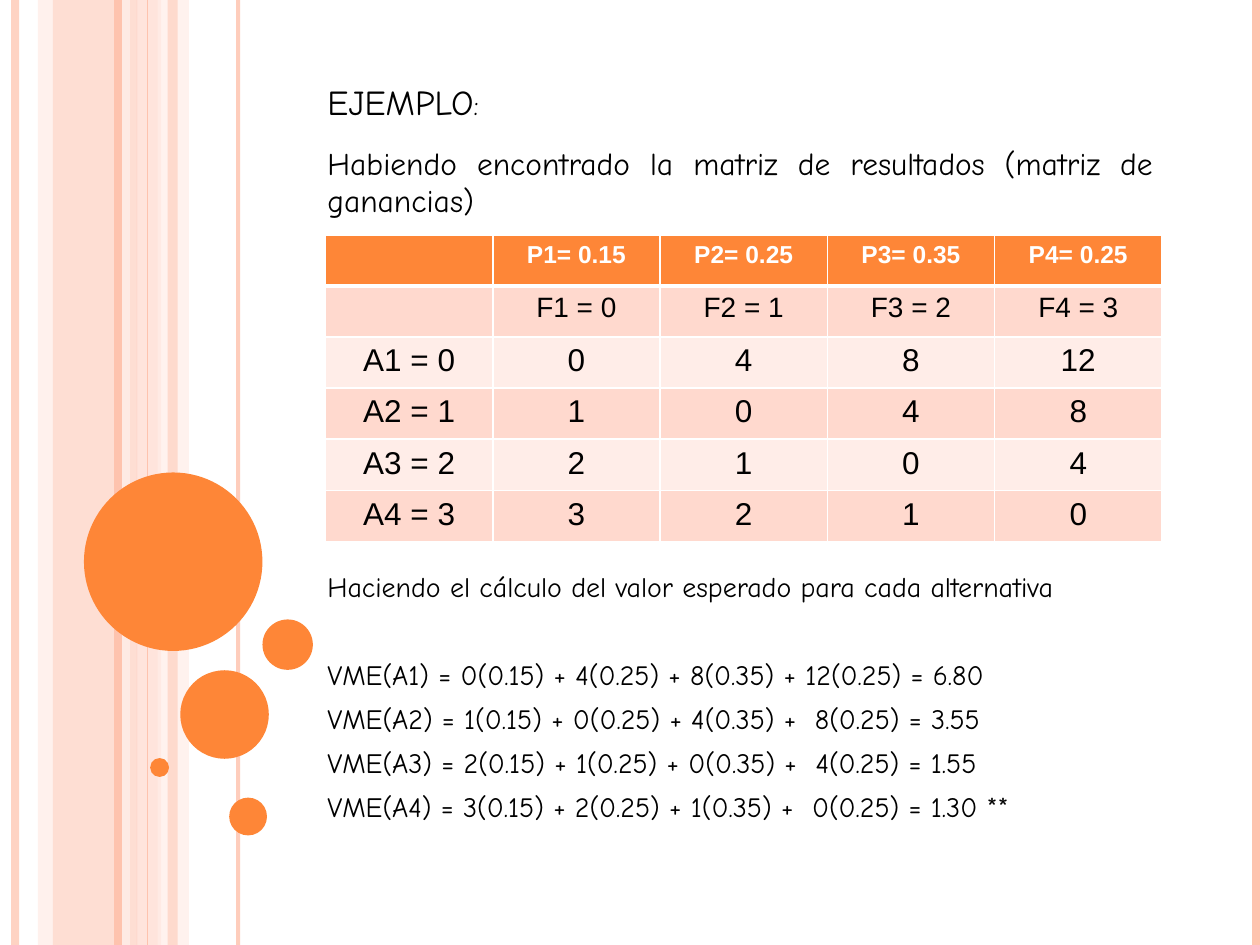
from lxml import etree
from pptx import Presentation
from pptx.dml.color import RGBColor
from pptx.enum.shapes import MSO_CONNECTOR, MSO_SHAPE
from pptx.enum.text import MSO_ANCHOR, PP_ALIGN
from pptx.oxml.ns import qn
from pptx.util import Pt

RECTANGLE = MSO_SHAPE.RECTANGLE
OVAL = MSO_SHAPE.OVAL
STRAIGHT = MSO_CONNECTOR.STRAIGHT
BOTTOM = MSO_ANCHOR.BOTTOM
TOP = MSO_ANCHOR.TOP
LEFT = PP_ALIGN.LEFT
CENTER = PP_ALIGN.CENTER
JUSTIFY = PP_ALIGN.JUSTIFY

COLORS = {
    "orange": "FE8637",
    "salmon": "FEC3AE",
    "peach": "FFD9CE",
    "blush": "FFEDE8",
    "white": "FFFFFF",
    "black": "000000",
}
PAGE_WIDTH, PAGE_HEIGHT = 720, 540
BODY_FONT, TABLE_FONT = "Comic Neue", "Arial"

PROBABILITIES = [0.15, 0.25, 0.35, 0.25]
PAYOFFS = [[0, 4, 8, 12], [1, 0, 4, 8], [2, 1, 0, 4], [3, 2, 1, 0]]


def rgb(name):
    return RGBColor.from_string(COLORS[name])


def set_alpha(parent, percent):
    color = parent.find(".//" + qn("a:srgbClr"))
    etree.SubElement(color, qn("a:alpha"), val=str(percent * 1000))


def add_filled(page, kind, box, color, alpha=100):
    shape = page.shapes.add_shape(kind, *map(Pt, box))
    shape.shadow.inherit = False
    shape.fill.solid()
    shape.fill.fore_color.rgb = rgb(color)
    shape.line.fill.background()
    if alpha < 100:
        set_alpha(shape.fill._xPr, alpha)


def add_stripe(page, x, top, height, color, width, alpha=100):
    line = page.shapes.add_connector(STRAIGHT, Pt(x), Pt(top), Pt(x), Pt(top + height))
    line.line.color.rgb = rgb(color)
    line.line.width = Pt(width)
    properties = line._element.spPr
    if alpha < 100:
        set_alpha(properties, alpha)
    etree.SubElement(properties, qn("a:effectLst"))


def add_background(page, box):
    left, top, width, height = box
    bands = [
        (30.24, 48.24, "salmon", 54),
        (21.6, 8.64, "peach", 36),
        (77.76, 14.4, "peach", 70),
        (90, 18, "blush", 71),
    ]
    stripes = [
        (8.64, "salmon", 4.5, 73),
        (72, "blush", 4.5, 83),
        (67.2, "salmon", 4.5, 100),
        (136.08, "salmon", 2.25, 82),
        (84.24, "salmon", 0.75, 100),
        (width - 2.3, "salmon", 4.5, 100),
    ]
    circles = [
        (48, 270, 102),
        (103, 383, 50.6),
        (85.8, 433.2, 10.8),
        (131, 455.8, 21.6),
        (150, 354, 28.8),
    ]
    for x, band_width, color, alpha in bands:
        add_filled(page, RECTANGLE, (left + x, top, band_width, height), color, alpha)
    for x, color, weight, alpha in stripes:
        add_stripe(page, left + x, top, height, color, weight, alpha)
    add_filled(page, RECTANGLE, (left + 95.76, top, 5.76, height), "salmon", 51)
    for x, y, size in circles:
        add_filled(page, OVAL, (left + x, top + y, size, size), "orange")


def write_span(para, text, size, font, color, bold=False):
    span = para.add_run()
    span.text = text
    values = {"size": Pt(size), "name": font, "bold": bold}
    for name, value in values.items():
        setattr(span.font, name, value)
    span.font.color.rgb = rgb(color)
    return span


def add_text(page, box, anchor, lines):
    frame = page.shapes.add_textbox(*map(Pt, box)).text_frame
    frame.word_wrap = True
    frame.vertical_anchor = anchor
    spans = []
    for index, (text, size, space, alignment) in enumerate(lines):
        para = frame.add_paragraph() if index else frame.paragraphs[0]
        para.space_before = Pt(space)
        para.alignment = alignment
        spans.append(write_span(para, text, size, BODY_FONT, "black"))
    return spans


def add_title(page, box):
    for span in add_text(page, box, BOTTOM, [("EJEMPLO:", 20, 0, LEFT)]):
        span._r.get_or_add_rPr().set("cap", "small")


def expected_value_line(index, payoffs):
    pairs = list(zip(payoffs, PROBABILITIES))
    terms = [f"{payoff}({chance})" for payoff, chance in pairs[:-1]]
    terms.append(f"{payoffs[-1]:>2}({PROBABILITIES[-1]})")
    total = sum(payoff * chance for payoff, chance in pairs)
    mark = " **" if index == len(PAYOFFS) else ""
    return f"VME(A{index}) = {' + '.join(terms)} = {total:.2f}{mark}"


def add_body(page, box):
    lines = [
        ("Habiendo encontrado la matriz de resultados (matriz de ganancias)", 18, 6, JUSTIFY),
        ("Haciendo el cálculo del valor esperado para cada alternativa", 16, 200, LEFT),
    ]
    for index, payoffs in enumerate(PAYOFFS, 1):
        space = 31 if index == 1 else 6
        lines.append((expected_value_line(index, payoffs), 16, space, LEFT))
    add_text(page, box, TOP, lines)


def set_borders(cell, bottom):
    properties = cell._tc.get_or_add_tcPr()
    widths = {"a:lnL": 1, "a:lnR": 1, "a:lnT": 1, "a:lnB": bottom}
    for position, (tag, width) in enumerate(widths.items()):
        border = etree.Element(qn(tag), w=str(Pt(width)))
        fill = etree.SubElement(border, qn("a:solidFill"))
        etree.SubElement(fill, qn("a:srgbClr"), val=COLORS["white"])
        properties.insert(position, border)


def add_matrix(page, box):
    rows = [
        [""] + [f"P{i}= {chance}" for i, chance in enumerate(PROBABILITIES, 1)],
        [""] + [f"F{i + 1} = {i}" for i in range(len(PROBABILITIES))],
    ]
    rows += [[f"A{i + 1} = {i}", *map(str, values)] for i, values in enumerate(PAYOFFS)]
    table = page.shapes.add_table(len(rows), len(rows[0]), *map(Pt, box)).table
    for column in table.columns:
        column.width = Pt(box[2] / len(rows[0]))
    for r, texts in enumerate(rows):
        table.rows[r].height = Pt(box[3] / len(rows))
        size = {0: 14, 1: 16}.get(r, 18)
        fill = "orange" if r == 0 else ("peach" if r % 2 else "blush")
        for c, text in enumerate(texts):
            cell = table.cell(r, c)
            cell.fill.solid()
            cell.fill.fore_color.rgb = rgb(fill)
            set_borders(cell, 3 if r == 0 else 1)
            para = cell.text_frame.paragraphs[0]
            para.alignment = CENTER
            if text:
                write_span(para, text, size, TABLE_FONT, "white" if r == 0 else "black", r == 0)


deck = Presentation()
deck.slide_width = Pt(PAGE_WIDTH)
deck.slide_height = Pt(PAGE_HEIGHT)
page = deck.slides.add_slide(deck.slide_layouts[6])
add_background(page, (0, 0, PAGE_WIDTH, PAGE_HEIGHT))
add_title(page, (180, 34, 486, 39.5))
add_body(page, (180, 78.5, 486, 423.4))
add_matrix(page, (186, 134.2, 478, 175.2))
deck.save("out.pptx")
